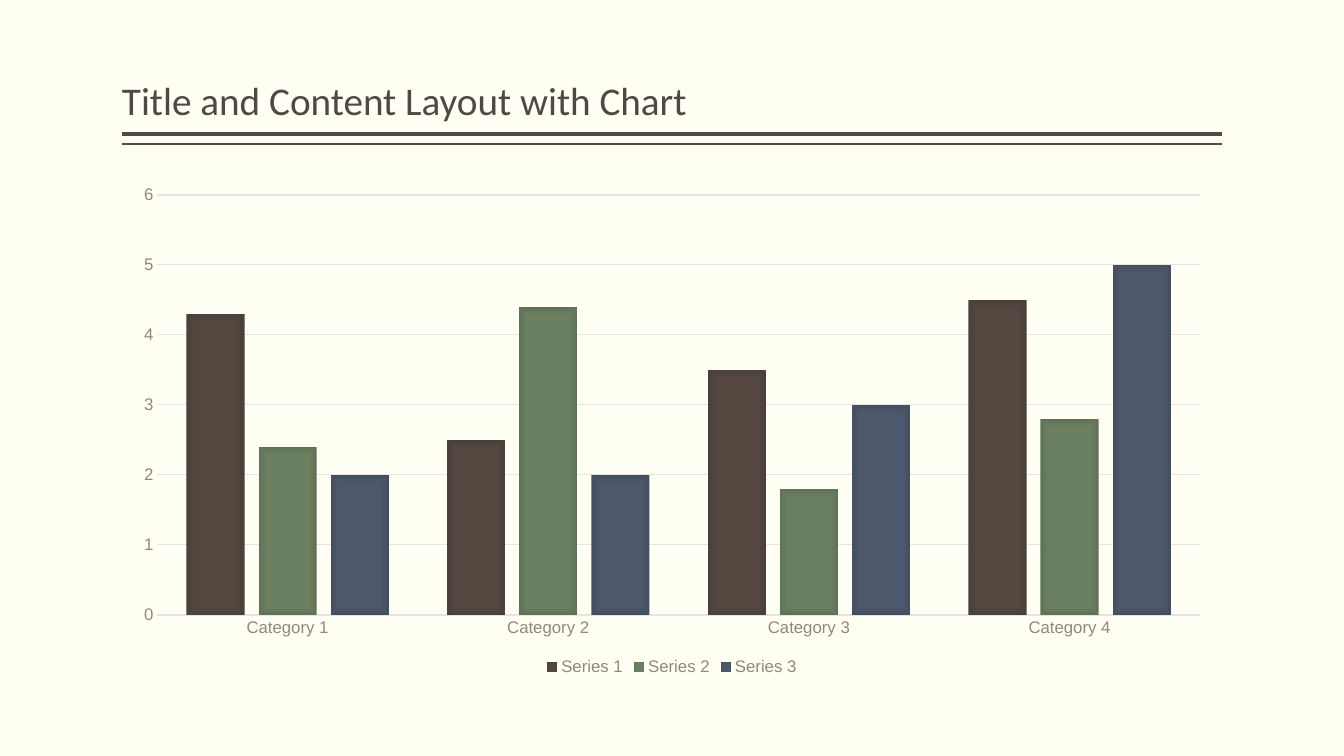
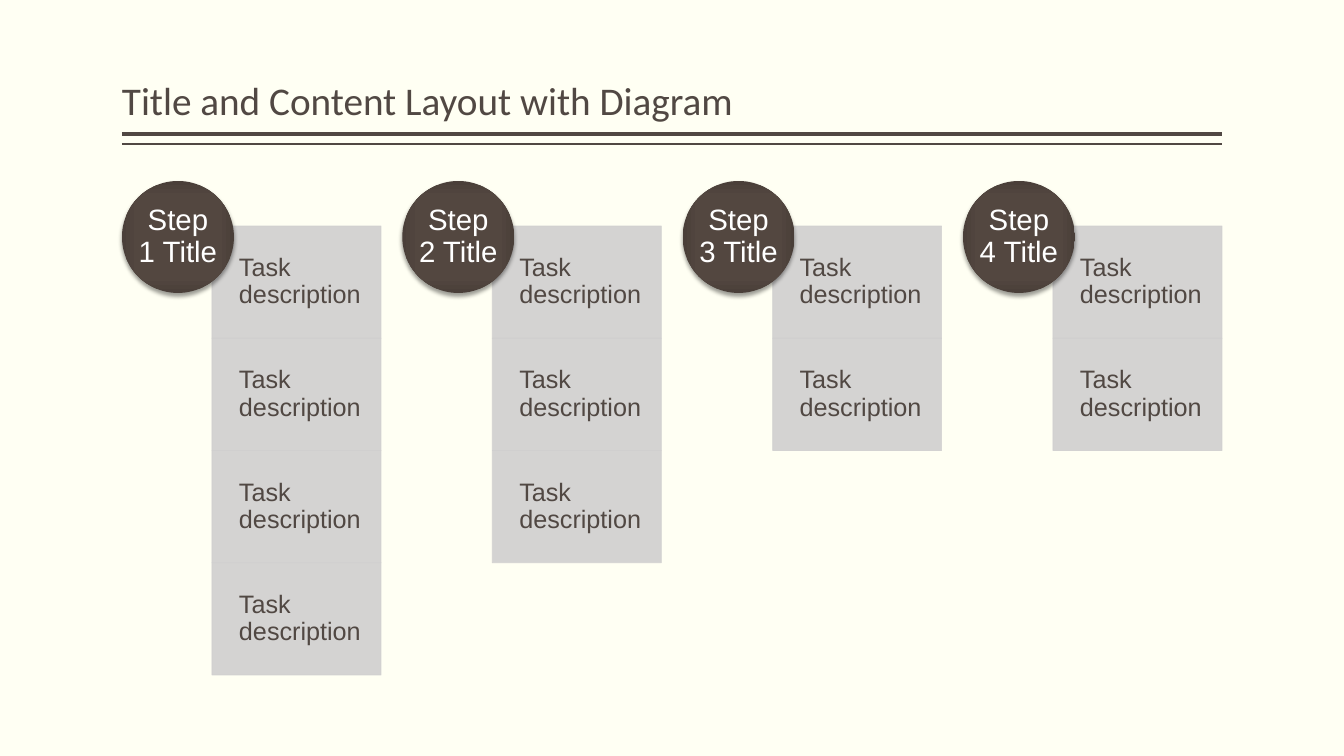
from pptx import Presentation
from pptx.chart.data import CategoryChartData
from pptx.dml.color import RGBColor
from pptx.enum.chart import (XL_CHART_TYPE as CHART, XL_LEGEND_POSITION as LEGEND,
                             XL_TICK_MARK as TICK)
from pptx.enum.shapes import MSO_CONNECTOR as CONNECTOR, MSO_SHAPE as SHAPE
from pptx.enum.text import MSO_ANCHOR as ANCHOR, PP_ALIGN as ALIGN
from pptx.oxml import parse_xml
from pptx.oxml.ns import nsdecls, qn
from pptx.util import Pt

SLIDE_W, SLIDE_H = 1344, 756
EMU_PER_PX = 12192000 / SLIDE_W

CREAM = RGBColor(0xFF, 0xFF, 0xF3)
WHITE = RGBColor(0xFF, 0xFF, 0xFF)
INK = RGBColor(0x51, 0x48, 0x43)
TAUPE = RGBColor(0x94, 0x86, 0x7E)
GRID = RGBColor(0xE6, 0xE3, 0xE1)
PANEL = RGBColor(0xD0, 0xCF, 0xCF)


def gradient(*colors):
    return [RGBColor.from_string(c) for c in colors]


BROWN = gradient("544740", "534740", "4A3F39")
GREEN = gradient("6B8162", "6A8061", "5F7256")
BLUE = gradient("4E596E", "4D586D", "444E61")
GRADIENT_STOPS = (0, 71, 100)

HEAD_FONT, BODY_FONT = "Calibri", "Arial"

LEFT, CONTENT_W = 122, 1100
RULES = ((134, 3), (144, 1))  # y in px, weight in points

CATEGORIES = [f"Category {n}" for n in range(1, 5)]
SERIES = (
    ("Series 1", (4.3, 2.5, 3.5, 4.5), BROWN),
    ("Series 2", (2.4, 4.4, 1.8, 2.8), GREEN),
    ("Series 3", (2, 2, 3, 5), BLUE),
)

TASK_COUNTS = (4, 3, 2, 2)
CIRCLE_TOP, CIRCLE_D = 181, 112
TASK_TOP, TASK_W, TASK_DX = 226, 169, 90
STACK_H = 449


def px(n):
    return round(n * EMU_PER_PX)


def box(*lengths):
    return [px(n) for n in lengths]


def set_format(obj, **values):
    for name, value in values.items():
        setattr(obj, name, value)


def set_font(font, name, size, color):
    set_format(font, name=name, size=Pt(size))
    font.color.rgb = color


def set_line(line, color, weight):
    line.color.rgb = color
    line.width = Pt(weight)


def set_alpha(color_parent, percent):
    """Make every plain colour below the element partly transparent."""
    for clr in color_parent.iter(qn("a:srgbClr")):
        clr.append(parse_xml(f'<a:alpha {nsdecls("a")} val="{percent * 1000}"/>'))


def set_gradient(fill, sp_pr, colors):
    """Shade from the centre to the edges of a rectangle."""
    fill.gradient()
    stops = "".join(
        f'<a:gs pos="{pos * 1000}"><a:srgbClr val="{color}"/></a:gs>'
        for pos, color in zip(GRADIENT_STOPS, colors))
    shade = parse_xml(
        f'<a:gradFill {nsdecls("a")} rotWithShape="1"><a:gsLst>{stops}</a:gsLst>'
        '<a:path path="rect"><a:fillToRect l="50000" t="50000" r="50000" b="50000"/>'
        '</a:path></a:gradFill>')
    sp_pr.replace(sp_pr.find(qn("a:gradFill")), shade)


def write(sp, text, font, size, color, align=ALIGN.LEFT, anchor=ANCHOR.MIDDLE,
          margins=(0, 0, 0, 0)):
    """Fill a shape with one paragraph; margins are left, top, right, bottom."""
    tf = sp.text_frame
    left, top, right, bottom = box(*margins)
    set_format(tf, word_wrap=True, vertical_anchor=anchor, margin_left=left,
               margin_top=top, margin_right=right, margin_bottom=bottom)
    p = tf.paragraphs[0]
    set_format(p, alignment=align, line_spacing=0.9)
    r = p.add_run()
    r.text = text
    set_font(r.font, font, size, color)


def add_rule(slide, y, weight):
    line = slide.shapes.add_connector(
        CONNECTOR.STRAIGHT, *box(LEFT, y, LEFT + CONTENT_W, y))
    set_line(line.line, INK, weight)
    line._element.spPr.append(parse_xml(f'<a:effectLst {nsdecls("a")}/>'))


def add_slide(prs, title):
    slide = prs.slides.add_slide(prs.slide_layouts[6])
    for y, weight in RULES:
        add_rule(slide, y, weight)
    sp = slide.shapes.add_textbox(*box(LEFT, 8, CONTENT_W, 121))
    write(sp, title, HEAD_FONT, 28, INK, anchor=ANCHOR.BOTTOM, margins=(0, 5, 0, 5))
    return slide


def add_column_chart(slide):
    data = CategoryChartData()
    data.categories = CATEGORIES
    for name, values, _ in SERIES:
        data.add_series(name, values)
    chart = slide.shapes.add_chart(
        CHART.COLUMN_CLUSTERED, *box(LEFT, 176, CONTENT_W, 504), data).chart
    set_format(chart, has_title=False, has_legend=True)
    set_font(chart.font, BODY_FONT, 10, INK)

    set_format(chart.legend, position=LEGEND.BOTTOM, include_in_layout=False)
    set_font(chart.legend.font, BODY_FONT, 12, TAUPE)

    plot = chart.plots[0]
    set_format(plot, gap_width=100, overlap=-24, vary_by_categories=False)
    for series, (_, _, colors) in zip(plot.series, SERIES):
        set_gradient(series.format.fill, series._element.spPr, colors)

    for axis in (chart.category_axis, chart.value_axis):
        set_format(axis, major_tick_mark=TICK.NONE, minor_tick_mark=TICK.NONE)
        set_font(axis.tick_labels.font, BODY_FONT, 12, TAUPE)
    set_line(chart.category_axis.format.line, GRID, 1)
    set_format(chart.value_axis, minimum_scale=0, maximum_scale=6, major_unit=1)
    chart.value_axis.format.line.fill.background()
    set_line(chart.value_axis.major_gridlines.format.line, GRID, 0.75)


def add_task(slide, x, y, height):
    sp = slide.shapes.add_shape(SHAPE.RECTANGLE, *box(x, y, TASK_W, height))
    sp.shadow.inherit = False
    sp.fill.solid()
    sp.fill.fore_color.rgb = PANEL
    set_line(sp.line, PANEL, 0.5)
    set_alpha(sp._element.spPr, 90)
    write(sp, "Task description", BODY_FONT, 18, INK, margins=(27, 14, 14, 14))


def add_step_circle(slide, x, text):
    sp = slide.shapes.add_shape(SHAPE.OVAL, *box(x, CIRCLE_TOP, CIRCLE_D, CIRCLE_D))
    sp_pr = sp._element.spPr
    set_gradient(sp.fill, sp_pr, BROWN)
    sp.line.fill.background()
    sp.shadow.inherit = False
    sp_pr.find(qn("a:effectLst")).append(parse_xml(
        f'<a:outerShdw {nsdecls("a")} blurRad="{Pt(3.1)}" dist="{Pt(2)}" '
        'dir="5400000" rotWithShape="0"><a:srgbClr val="000000">'
        '<a:alpha val="38000"/></a:srgbClr></a:outerShdw>'))
    write(sp, text, BODY_FONT, 21, WHITE, align=ALIGN.CENTER)


def add_steps(slide):
    """Spread the step columns evenly over the content width."""
    pitch = (CONTENT_W - TASK_DX - TASK_W) / (len(TASK_COUNTS) - 1)
    task_h = STACK_H / max(TASK_COUNTS)
    for i, count in enumerate(TASK_COUNTS):
        x = LEFT + i * pitch
        for row in range(count):
            add_task(slide, x + TASK_DX, TASK_TOP + row * task_h, task_h)
        add_step_circle(slide, x, f"Step {i + 1} Title")


def main():
    prs = Presentation()
    set_format(prs, slide_width=px(SLIDE_W), slide_height=px(SLIDE_H))
    background = prs.slide_master.background.fill
    background.solid()
    background.fore_color.rgb = CREAM

    add_column_chart(add_slide(prs, "Title and Content Layout with Chart"))
    add_steps(add_slide(prs, "Title and Content Layout with Diagram"))
    prs.save("out.pptx")


if __name__ == "__main__":
    main()
